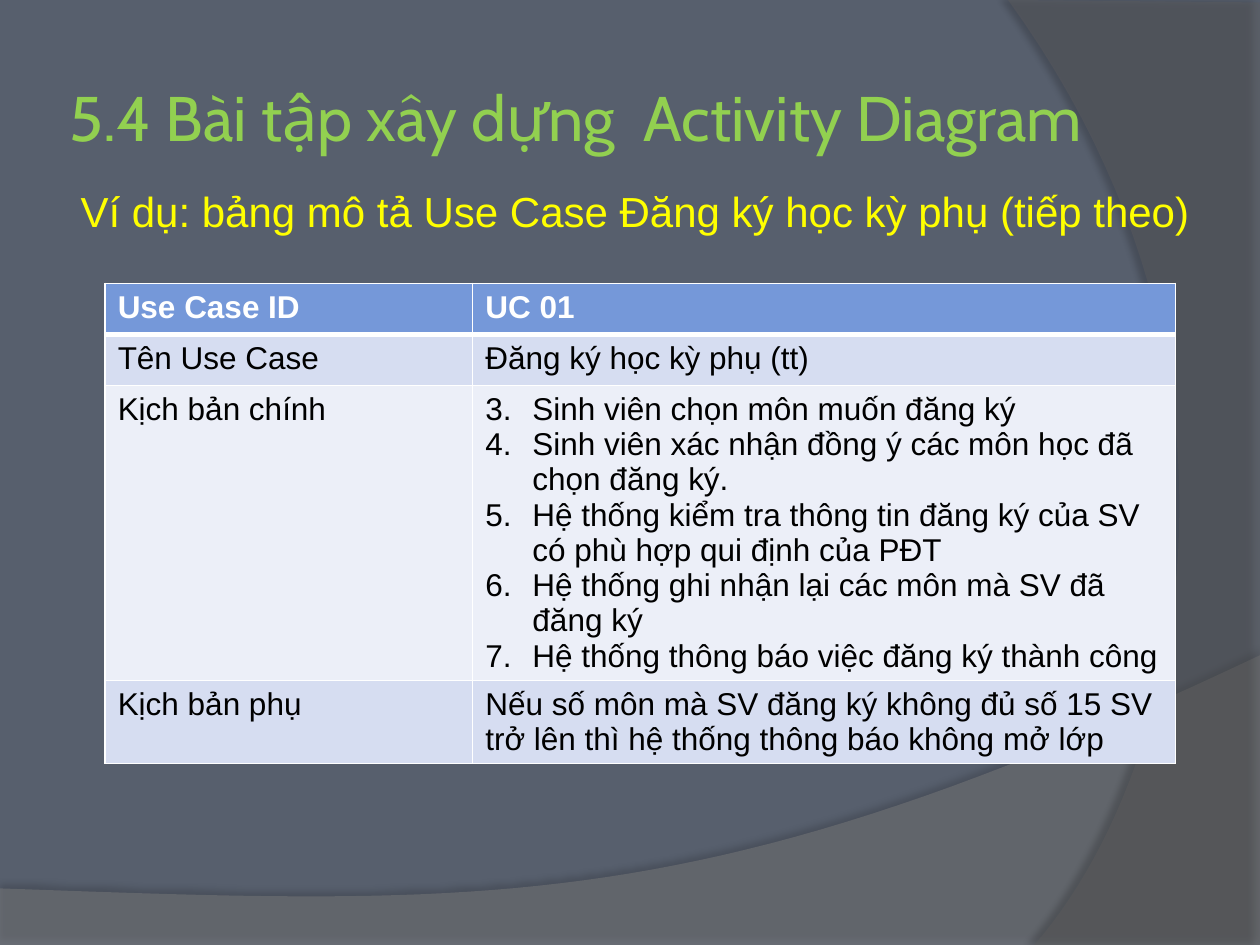
from dataclasses import dataclass

from lxml.etree import SubElement
from pptx import Presentation
from pptx.dml.color import RGBColor
from pptx.enum.text import MSO_ANCHOR as Anchor, MSO_AUTO_SIZE as AutoSize, PP_ALIGN as Align
from pptx.oxml.ns import qn
from pptx.util import Cm, Pt


@dataclass(frozen=True)
class Theme:
    background: str = "575F6D"
    wave: str = "7F7F7F"
    arc: str = "5E5E5E"
    title: str = "92D050"
    subtitle: str = "FFFF00"
    header: str = "7598D9"
    band_dark: str = "D6DDF1"
    band_light: str = "ECEFF8"
    white: str = "FFFFFF"
    black: str = "000000"
    title_font: str = "Cabin"
    text_font: str = "Arial"
    title_size: int = 36
    subtitle_size: int = 24
    table_size: int = 18


theme = Theme()


def add_run(paragraph, text, size, color, font=theme.text_font, bold=False):
    """Add one formatted run to a paragraph."""
    run = paragraph.add_run()
    run.text = text
    run.font.size = Pt(size)
    run.font.name = font
    run.font.bold = bold
    run.font.color.rgb = RGBColor.from_string(color)


def add_color(parent, color, alpha=100):
    """Add an RGB colour element with an opacity in percent."""
    rgb = SubElement(parent, qn("a:srgbClr"), val=color)
    SubElement(rgb, qn("a:alpha"), val=str(alpha * 1000))


prs = Presentation()
prs.slide_width, prs.slide_height = Cm(25.4), Cm(19.05)
slide = prs.slides.add_slide(prs.slide_layouts[1])
slide.background.fill.solid()
slide.background.fill.fore_color.rgb = RGBColor.from_string(theme.background)
title, subtitle = slide.placeholders

# Background sweeps: straight corners, then a Bezier curve from the last corner.
# colour, opacity, corners, curve, shadow opacity, shadow distance, shadow angle
sweeps = [
    (theme.wave, 45, [(0, 17.91), (0, 19.05), (25.4, 19.05), (25.4, 13.21)],
     [(14.2, 18.52), (9.93, 18.26), (0, 17.91)], 35, 3.5, 270),
    (theme.arc, 40, [(25.4, 0.05), (25.4, 19.05), (20.85, 19.05)],
     [(23.75, 15.72), (25.86, 7.62), (20.32, 0)], 45, 4, 180),
]
curve_steps = 48
for color, opacity, corners, curve, shade, distance, angle in sweeps:
    controls = [corners[-1], *curve]
    outline = list(corners)
    for step in range(1, curve_steps + 1):
        t = step / curve_steps
        weights = ((1 - t) ** 3, 3 * t * (1 - t) ** 2, 3 * t ** 2 * (1 - t), t ** 3)
        outline.append(tuple(sum(w * point[axis] for w, point in zip(weights, controls))
                             for axis in (0, 1)))
    points = [(Cm(x), Cm(y)) for x, y in outline]
    builder = slide.shapes.build_freeform(*points[0])
    builder.add_line_segments(points[1:], close=True)
    sweep = builder.convert_to_shape()
    sweep.line.fill.background()
    sweep.fill.solid()
    sweep.fill.fore_color.rgb = RGBColor.from_string(color)
    rgb = sweep.element.spPr.find(qn("a:solidFill"))[0]
    SubElement(rgb, qn("a:alpha"), val=str(opacity * 1000))
    sweep.shadow.inherit = False
    shadow = SubElement(sweep.element.spPr.find(qn("a:effectLst")), qn("a:outerShdw"),
                        blurRad=str(Pt(4)), dist=str(Pt(distance)),
                        dir=str(angle * 60000), algn="ctr", rotWithShape="0")
    add_color(shadow, theme.black, shade)
    title.element.addprevious(sweep.element)

# Title and subtitle
title.left, title.top, title.width, title.height = Cm(1.27), Cm(0.76), Cm(23.29), Cm(3.18)
title_frame = title.text_frame
title_frame.auto_size = AutoSize.NONE
title_frame.vertical_anchor = Anchor.MIDDLE
title_frame.margin_left = title_frame.margin_right = Cm(0.13)
heading = title_frame.paragraphs[0]
heading.alignment = Align.LEFT
add_run(heading, "5.4 Bài tập xây dựng  Activity Diagram",
        theme.title_size, theme.title, theme.title_font)

subtitle.left, subtitle.top = Cm(1.27), Cm(3.61)
subtitle.width, subtitle.height = Cm(23.7), Cm(15.04)
subtitle.text_frame.auto_size = AutoSize.NONE
example = subtitle.text_frame.paragraphs[0]
example_props = example._p.get_or_add_pPr()
example_props.set("marL", str(Cm(1.17)))
example_props.set("indent", str(Cm(-1.07)))
SubElement(example_props, qn("a:buNone"))
add_run(example, "Ví dụ: bảng mô tả Use Case Đăng ký học kỳ phụ (tiếp theo)",
        theme.subtitle_size, theme.subtitle)

# Use case table: a list in a cell becomes numbered steps
use_case = [
    ("Use Case ID", "UC 01"),
    ("Tên Use Case", "Đăng ký học kỳ phụ (tt)"),
    ("Kịch bản chính", [
        "Sinh viên chọn môn muốn đăng ký",
        "Sinh viên xác nhận đồng ý các môn học đã chọn đăng ký.",
        "Hệ thống kiểm tra thông tin đăng ký của SV có phù hợp qui định của PĐT",
        "Hệ thống ghi nhận lại các môn mà SV đã đăng ký",
        "Hệ thống thông báo việc đăng ký thành công",
    ]),
    ("Kịch bản phụ", "Nếu số môn mà SV đăng ký không đủ số 15 SV "
                     "trở lên thì hệ thống thông báo không mở lớp"),
]
first_step = 3
column_widths = [7.41, 14.17]
row_heights = [1.03, 1.03, 5.94, 1.67]
row_fills = [theme.header, theme.band_dark, theme.band_light, theme.band_dark]
table = slide.shapes.add_table(len(row_heights), len(column_widths), Cm(2.12), Cm(5.71),
                               Cm(sum(column_widths)), Cm(sum(row_heights))).table
for column, width in zip(table.columns, column_widths):
    column.width = Cm(width)

for r, (entries, height, fill) in enumerate(zip(use_case, row_heights, row_fills)):
    table.rows[r].height = Cm(height)
    is_header = r == 0
    text_color = theme.white if is_header else theme.black
    for c, entry in enumerate(entries):
        cell = table.cell(r, c)
        cell_props = cell._tc.get_or_add_tcPr()
        for side in "LRTB":
            thick = (r, side) in ((0, "B"), (1, "T"))
            border = SubElement(cell_props, qn(f"a:ln{side}"), w=str(Pt(3 if thick else 1)))
            add_color(SubElement(border, qn("a:solidFill")), theme.white)
        cell.fill.solid()
        cell.fill.fore_color.rgb = RGBColor.from_string(fill)

        numbered = isinstance(entry, list)
        for i, text in enumerate(entry if numbered else [entry]):
            frame = cell.text_frame
            line = frame.add_paragraph() if i else frame.paragraphs[0]
            if numbered:
                line_props = line._p.get_or_add_pPr()
                line_props.set("marL", str(Cm(0.95)))
                line_props.set("indent", str(Cm(-0.95)))
                SubElement(line_props, qn("a:buFont"), typeface="+mj-lt")
                SubElement(line_props, qn("a:buAutoNum"), type="arabicPeriod",
                           startAt=str(first_step))
            add_run(line, text, theme.table_size, text_color, bold=is_header)

prs.save("out.pptx")
